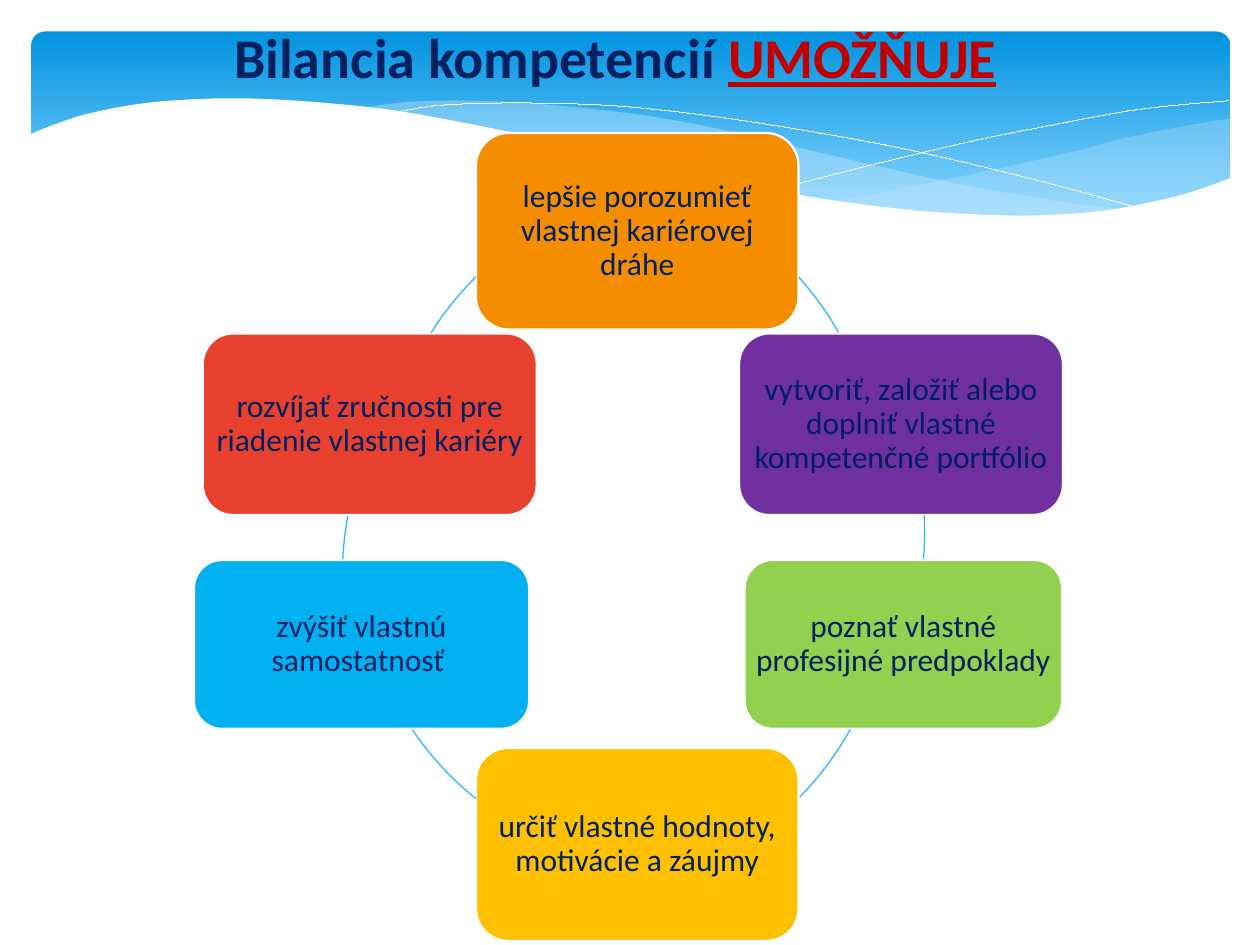
from math import atan2, degrees
from typing import NamedTuple

from lxml import etree
from pptx import Presentation
from pptx.dml.color import RGBColor
from pptx.enum.shapes import MSO_SHAPE
from pptx.enum.text import MSO_ANCHOR, PP_ALIGN
from pptx.oxml.ns import qn
from pptx.util import Pt

ROUNDED = MSO_SHAPE.ROUNDED_RECTANGLE
ARC = MSO_SHAPE.ARC
CENTER = PP_ALIGN.CENTER
MIDDLE = MSO_ANCHOR.MIDDLE

FONT = "Calibri"
RING_SIZE = 350.6
COLORS = {
    "white": "FFFFFF", "navy": "002060", "dark_red": "C00000",
    "sky_top": "0293E0", "sky_bottom": "83D3FE", "mist": "C6E7FC",
    "ring": "31B6FD", "orange": "F58D01", "purple": "7030A0",
    "green": "92D050", "yellow": "FFC000", "blue": "00B0F0", "red": "E8402E",
}

Point = tuple[float, float]


class Card(NamedTuple):
    text: str
    color: str
    left: float
    top: float
    width: float
    height: float


class RingArc(NamedTuple):
    """A clockwise piece of the circle whose box starts at left, top."""
    left: float
    top: float
    start: Point
    end: Point


CARDS = [
    Card("lepšie porozumieť vlastnej kariérovej dráhe", "orange", 272, 76, 184.3, 112.3),
    Card("vytvoriť, založiť alebo doplniť vlastné kompetenčné portfólio", "purple",
         422.4, 190.6, 185, 103.7),
    Card("poznať vlastné profesijné predpoklady", "green", 425.5, 320, 181.4, 96.5),
    Card("určiť vlastné hodnoty, motivácie a záujmy", "yellow", 272, 427.5, 184.3, 110.2),
    Card("zvýšiť vlastnú samostatnosť ", "blue", 110.9, 320, 191.5, 96.5),
    Card("rozvíjať zručnosti pre riadenie vlastnej kariéry", "red", 115.9, 190.6, 190.8, 103.7),
]

RING = [
    RingArc(151.2, 100.8, (456.5, 158.4), (479.5, 190.1)),
    RingArc(177.8, 129.6, (527.8, 294.5), (527.8, 319.7)),
    RingArc(157, 157, (486, 416.9), (456.5, 456.5)),
    RingArc(205.9, 144, (272.2, 456.5), (235.4, 416.9)),
    RingArc(195.8, 151.9, (195.8, 319.7), (198.7, 294.5)),
    RingArc(219.6, 108, (246.2, 190.1), (272.2, 158.4)),
]

RIGHT_MIST = [
    [(702.7, 67.7), (673.2, 72.7), (641.5, 79.2), (619.9, 85), (579.6, 94.3),
     (524.9, 105.8), (475.9, 115.2)],
    [(475.9, 115.2), (507.6, 118.8), (545, 122.4), (578.2, 123.8), (607.7, 123.1),
     (640, 119.5), (668.2, 113.8), (702.7, 101.5)],
]
LONG_MIST = [
    [(643, 120.2), (602.6, 114.5), (558, 107.3), (508.3, 96.5), (452.9, 83.5),
     (409.7, 73.4), (370, 66.2), (334.8, 61.9), (302.4, 59), (273.6, 57.6),
     (247.7, 57.6), (225.4, 59), (205.9, 61.9)],
    [(205.9, 61.9), (246.2, 67.7), (290.9, 76.3), (323.3, 83.5), (381.6, 97.2),
     (432.7, 108), (478.8, 115.9), (519.8, 121), (556.6, 123.8), (589, 124.6),
     (617, 123.1), (643, 120.2)],
]
FALLING_LINE = [(222.5, 64.8), (247.7, 60.5), (278.6, 59), (311.8, 59), (352, 60.5),
                (400.3, 65.5), (457.9, 74.2), (523.4, 86.4), (598.3, 104.4), (653, 119.5)]
RISING_LINE = [(441.4, 108.7), (500.4, 93.6), (558.7, 79.9), (601.9, 71.3),
               (644.4, 63.4), (675.4, 59.8), (702, 57.6)]
WHITE_WAVE = [(16.6, 77), (28.8, 72), (48.2, 65.5), (76.3, 59.8), (105, 57), (139, 56.2),
              (180, 58.3), (227.5, 63.4), (281.5, 73.4), (321.8, 82.1), (380.9, 95.8),
              (434.2, 107.3), (481, 115.2), (522.7, 120.2), (560.2, 122.6),
              (592.6, 123.1), (630, 120.5), (662.4, 114.5), (684, 108.7), (703.4, 101.5)]
WAVE_BASE = [(703.4, 161.3), (16.6, 161.3)]


def rgb(name: str) -> RGBColor:
    return RGBColor.from_string(COLORS[name])


def smooth(knots: list[Point], steps: int = 4) -> list[Point]:
    """Run a Catmull-Rom curve through the knots."""
    padded = [knots[0], *knots, knots[-1]]
    points = [knots[0]]
    for a, b, c, d in zip(padded, padded[1:], padded[2:], padded[3:]):
        for i in range(1, steps + 1):
            t = i / steps
            weights = ((-t + 2 * t**2 - t**3) / 2, (2 - 5 * t**2 + 3 * t**3) / 2,
                       (t + 4 * t**2 - 3 * t**3) / 2, (t**3 - t**2) / 2)
            points.append((sum(w * p[0] for w, p in zip(weights, (a, b, c, d))),
                           sum(w * p[1] for w, p in zip(weights, (a, b, c, d)))))
    return points


def add_outline(s, points: list[Point], close: bool):
    pts = [(Pt(x), Pt(y)) for x, y in points]
    builder = s.shapes.build_freeform(*pts[0])
    builder.add_line_segments(pts[1:], close=close)
    sp = builder.convert_to_shape()
    sp.shadow.inherit = False
    return sp


def add_area(s, points: list[Point], color: str, opacity: int = 100) -> None:
    sp = add_outline(s, points, True)
    sp.fill.solid()
    sp.fill.fore_color.rgb = rgb(color)
    sp.line.fill.background()
    if opacity < 100:
        clr = sp.fill._xPr.find(qn("a:solidFill"))[0]
        etree.SubElement(clr, qn("a:alpha")).set("val", str(opacity * 1000))


def add_hairline(s, points: list[Point]) -> None:
    sp = add_outline(s, points, False)
    sp.fill.background()
    sp.line.color.rgb = rgb("white")
    sp.line.width = Pt(0.01)


def add_banner(s) -> None:
    sp = s.shapes.add_shape(ROUNDED, Pt(18), Pt(18), Pt(684.9), Pt(112.3))
    sp.adjustments[0] = 0.07
    sp.shadow.inherit = False
    sp.line.fill.background()
    sp.fill.gradient()
    sp.fill.gradient_angle = 270
    for stop, color, position in zip(sp.fill.gradient_stops, ("sky_top", "sky_bottom"), (0, 0.9)):
        stop.color.rgb = rgb(color)
        stop.position = position
    for edges, opacity in ((RIGHT_MIST, 29), (LONG_MIST, 40)):
        add_area(s, [p for edge in edges for p in smooth(edge)], "mist", opacity)
    for knots in (FALLING_LINE, RISING_LINE):
        add_hairline(s, smooth(knots))
    add_area(s, smooth(WHITE_WAVE) + WAVE_BASE, "white")


def add_title(s) -> None:
    tf = s.shapes.add_textbox(Pt(20), Pt(9.4), Pt(663.1), Pt(46.1)).text_frame
    tf.word_wrap = True
    p = tf.paragraphs[0]
    p.alignment = CENTER
    for text, color, underline in (("Bilancia kompetencií ", "navy", False),
                                   ("UMOŽŇUJE", "dark_red", True)):
        r = p.add_run()
        r.text = text
        r.font.name, r.font.size, r.font.bold = FONT, Pt(32), True
        r.font.color.rgb = rgb(color)
        if underline:
            r.font.underline = True


def add_ring_arc(s, arc: RingArc) -> None:
    sp = s.shapes.add_shape(ARC, Pt(arc.left), Pt(arc.top), Pt(RING_SIZE), Pt(RING_SIZE))
    radius = RING_SIZE / 2
    for i, (x, y) in enumerate((arc.start, arc.end)):
        angle = degrees(atan2(y - arc.top - radius, x - arc.left - radius)) % 360
        sp.adjustments[i] = angle * 0.6  # 60000 units a degree, scaled by 100000
    sp.shadow.inherit = False
    sp.fill.background()
    sp.line.color.rgb = rgb("ring")
    sp.line.width = Pt(0.75)


def add_card(s, card: Card) -> None:
    sp = s.shapes.add_shape(ROUNDED, Pt(card.left), Pt(card.top), Pt(card.width), Pt(card.height))
    sp.shadow.inherit = False
    sp.fill.solid()
    sp.fill.fore_color.rgb = rgb(card.color)
    sp.line.color.rgb = rgb("white")
    sp.line.width = Pt(1.25)
    tf = sp.text_frame
    tf.text = card.text
    tf.word_wrap = True
    tf.vertical_anchor = MIDDLE
    tf.margin_left = tf.margin_right = tf.margin_top = tf.margin_bottom = Pt(0)
    p = tf.paragraphs[0]
    p.alignment = CENTER
    p.line_spacing = 0.9
    font = p.runs[0].font
    font.name, font.size = FONT, Pt(18)
    font.color.rgb = rgb("navy")


prs = Presentation()
prs.slide_width, prs.slide_height = Pt(720), Pt(540)
s = prs.slides.add_slide(prs.slide_layouts[6])
add_banner(s)
add_title(s)
for card, arc in zip(CARDS, RING):
    add_card(s, card)
    add_ring_arc(s, arc)
prs.save("out.pptx")
